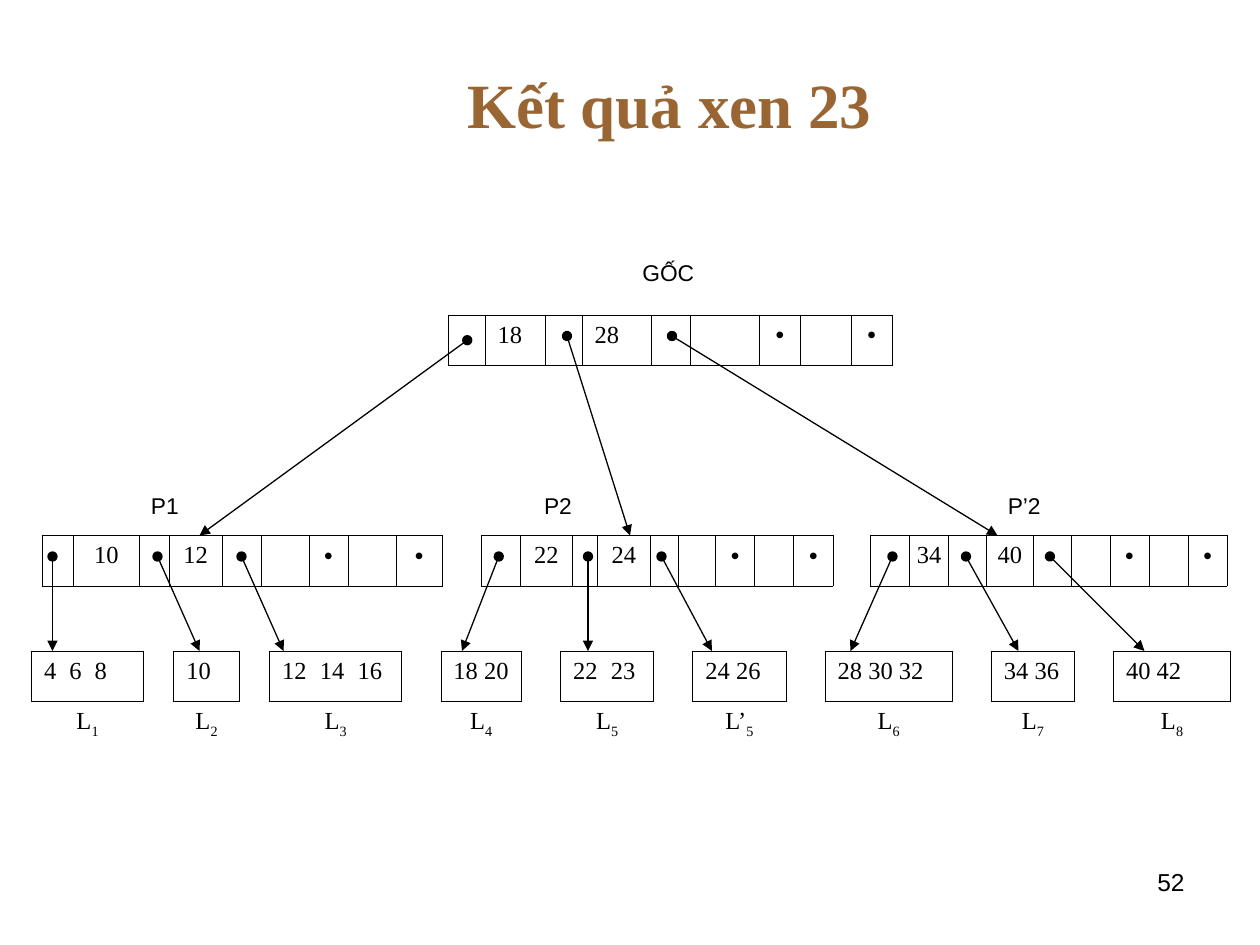
from lxml.etree import SubElement
from pptx import Presentation
from pptx.dml.color import RGBColor
from pptx.enum.shapes import MSO_CONNECTOR as Connector
from pptx.enum.text import MSO_ANCHOR as Anchor, PP_ALIGN as Align
from pptx.oxml.ns import qn
from pptx.util import Inches, Pt

COLORS = {"title": "996633", "ink": "000000"}
FONTS = {
    "title": {"name": "Times New Roman", "size": Pt(36), "bold": True},
    "key": {"name": "Times New Roman", "size": Pt(14)},
    "pointer": {"name": "Arial", "size": Pt(14)},
    "label": {"name": "Arial", "size": Pt(13)},
}
UNIT = Inches(1) // 12  # the slide is a grid of 120 columns by 90 rows
NODE_ROW, POINTER_ROW, LEAF_ROW = 51, 53, 62
ROW_HEIGHT = 0.34


def grid(*cells):
    return [round(cell * UNIT) for cell in cells]


def write(para, text, style, align, tabs=(), subscript=""):
    """Fill a paragraph, with tab stops in inches and an optional subscript."""
    para.alignment = align
    if tabs:
        tab_list = SubElement(para._p.get_or_add_pPr(), qn("a:tabLst"))
        for stop in tabs:
            SubElement(tab_list, qn("a:tab"), pos=str(Inches(stop)), algn="l")
    for part in filter(None, (text, subscript)):
        span = para.add_run()
        span.text = part
        for attribute, value in FONTS[style].items():
            setattr(span.font, attribute, value)
        color = COLORS["title" if style == "title" else "ink"]
        span.font.color.rgb = RGBColor.from_string(color)
    if subscript:
        span._r.get_or_add_rPr().set("baseline", "-30000")


deck = Presentation()
deck.slide_width, deck.slide_height = grid(120, 90)
page = deck.slides.add_slide(deck.slide_layouts[5])

title = page.shapes.title
title.left, title.top, title.width, title.height = grid(15, 3.6, 99, 12.4)
title.text_frame.vertical_anchor = Anchor.MIDDLE
write(title.text_frame.paragraphs[0], "Kết quả xen 23 ", "title", Align.CENTER)

# Captions and page number: place, text, style, alignment, tab stops, wrap, anchor
captions = [
    ((60, 24, 7.3, 3.8), "GỐC", "label", Align.LEFT, (), False, Anchor.MIDDLE),
    ((6, 46, 109, 4.3), "\tP1\tP2\tP’2", "label", Align.LEFT, (0.6, 3.72, 7.4),
     True, Anchor.MIDDLE),
    ((86, 82, 28, 6.2), "52", "pointer", Align.RIGHT, (), True, Anchor.TOP),
]
for place, text, style, align, tabs, wrap, anchor in captions:
    frame = page.shapes.add_textbox(*grid(*place)).text_frame
    frame.word_wrap = wrap
    frame.vertical_anchor = anchor
    write(frame.paragraphs[0], text, style, align, tabs)

# In the first row None is a gap without a box; later rows hold labels without boxes
DOT = "•"
root = [None, "", "18", "", "28", "", "", DOT, "", DOT]
nodes = []
for first, second in (("10", "12"), ("22", "24"), ("34", "40")):
    nodes += ["", first, "", second, "", "", DOT, "", DOT, None]
nodes.pop()
leaves, leaf_labels = [], []
for keys, label in (
    ("4\t6\t8", "L1"), ("10", "L2"), ("12\t14\t16", "L3"), ("18 20", "L4"),
    ("22\t23", "L5"), ("24 26", "L’5"), ("28 30 32", "L6"), ("34 36", "L7"),
    ("40 42", "L8"),
):
    leaves += [keys, None]
    leaf_labels += [label, None]
leaves.pop()
leaf_labels.pop()

# Tables: left, top, side margin, key alignment, column widths, rows
tables = [
    (27, 30, 0.1, Align.JUSTIFY,
     [1.31, 0.29, 0.48, 0.29, 0.55, 0.31, 0.55, 0.32, 0.41, 0.32], [root]),
    (4, NODE_ROW, 0.05, Align.CENTER,
     [0.25, 0.52, 0.24, 0.42, 0.31, 0.38, 0.31, 0.38, 0.37, 0.31,
      0.31, 0.41, 0.2, 0.42, 0.22, 0.3, 0.31, 0.31, 0.31, 0.3,
      0.31, 0.31, 0.3, 0.37, 0.3, 0.31, 0.31, 0.31, 0.31], [nodes]),
    (3, LEAF_ROW, 0.1, Align.JUSTIFY,
     [0.89, 0.24, 0.52, 0.24, 1.05, 0.31, 0.64, 0.31, 0.74, 0.31,
      0.74, 0.31, 1.01, 0.31, 0.66, 0.31, 0.93], [leaves, leaf_labels]),
]
for left, top, margin, key_align, widths, rows in tables:
    table = page.shapes.add_table(
        len(rows), len(widths), *grid(left, top),
        Inches(sum(widths)), Inches(ROW_HEIGHT * len(rows))).table
    table.first_row = table.horz_banding = False
    for column, width in zip(table.columns, widths):
        column.width = Inches(width)
    for row, height in zip(table.rows, (ROW_HEIGHT, 0.38)):
        row.height = Inches(height)
    boxed = {(0, c) for c, text in enumerate(rows[0]) if text is not None}

    for r, texts in enumerate(rows):
        for c, text in enumerate(texts):
            cell = table.cell(r, c)
            cell.margin_left = cell.margin_right = Inches(margin)
            cell.margin_top = cell.margin_bottom = Inches(0.05)
            para = cell.text_frame.paragraphs[0]
            if r:
                if text:
                    write(para, text[:-1], "key", Align.CENTER, subscript=text[-1])
            elif text == DOT:
                write(para, text, "pointer", Align.CENTER)
            elif text:
                # A stop leaves two digits' width after each key
                pitch = 0.1 * (len(text.split("\t")[0]) + 1)
                tabs = (pitch, 2 * pitch) if "\t" in text else ()
                write(para, text, "key", key_align, tabs)

            properties = cell._tc.get_or_add_tcPr()
            neighbours = {"lnL": (r, c - 1), "lnR": (r, c + 1),
                          "lnT": (r - 1, c), "lnB": (r + 1, c)}
            for edge, neighbour in neighbours.items():
                line = SubElement(properties, qn("a:" + edge), w=str(Pt(0.45)))
                if boxed & {(r, c), neighbour}:
                    fill = SubElement(line, qn("a:solidFill"))
                    SubElement(fill, qn("a:srgbClr"), val=COLORS["ink"])
                else:
                    SubElement(line, qn("a:noFill"))
            cell.fill.background()

# Arrows from the root to its nodes, then from the nodes to the leaves
arrows = [(44.5, 32.4, 19, NODE_ROW), (54, 32, 60, NODE_ROW), (64, 32, 95, NODE_ROW)]
for start, end in ((5, 5), (15, 19), (23, 27), (47.5, 44), (56, 56),
                   (63, 67.8), (85, 81), (92, 97), (100, 109)):
    arrows.append((start, POINTER_ROW, end, LEAF_ROW))
for ends in arrows:
    arrow = page.shapes.add_connector(Connector.STRAIGHT, *grid(*ends))
    arrow.line.width = Pt(0.75)
    arrow.line.color.rgb = RGBColor.from_string(COLORS["ink"])
    outline = arrow.line._get_or_add_ln()
    SubElement(outline, qn("a:headEnd"), type="oval")
    SubElement(outline, qn("a:tailEnd"), type="triangle")
    SubElement(arrow._element.spPr, qn("a:effectLst"))

deck.save("out.pptx")
